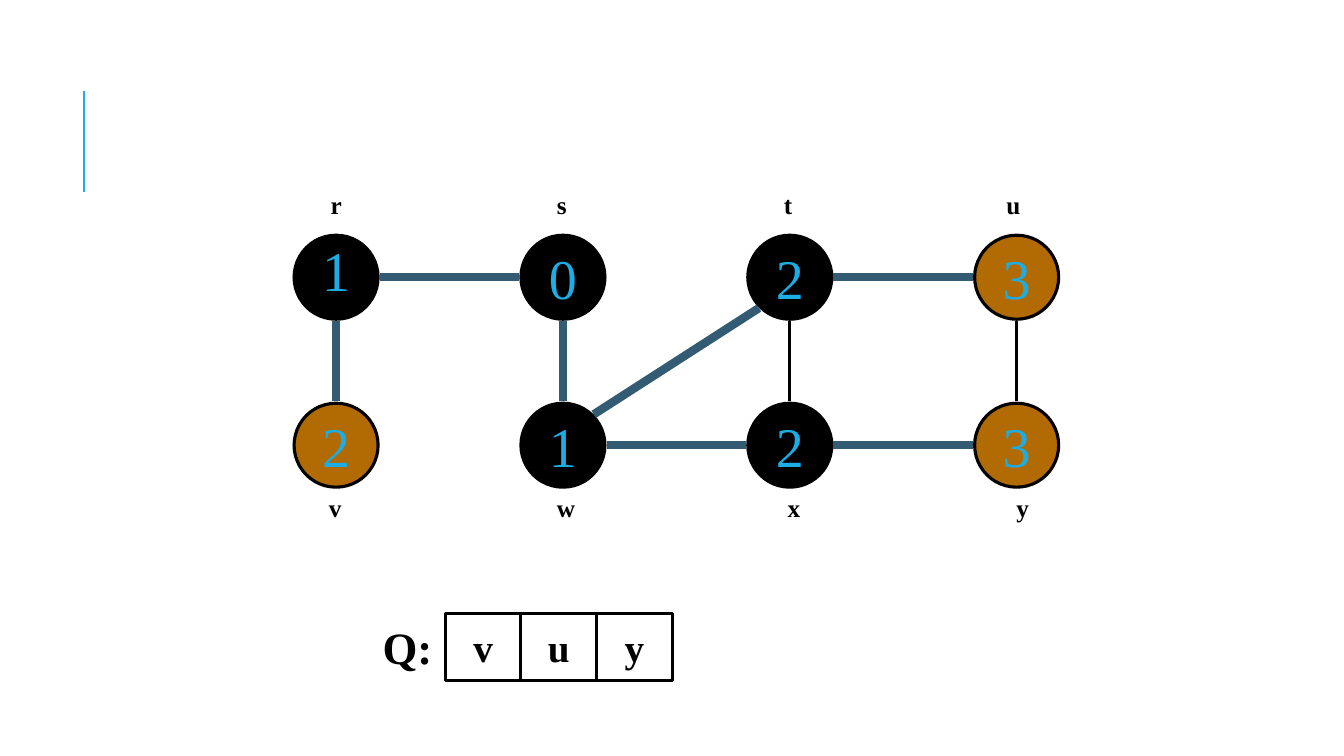
from collections import namedtuple
from math import hypot

from lxml.etree import SubElement
from pptx import Presentation
from pptx.dml.color import RGBColor
from pptx.enum.shapes import MSO_CONNECTOR, MSO_SHAPE
from pptx.enum.text import MSO_ANCHOR, MSO_AUTO_SIZE, PP_ALIGN
from pptx.oxml.ns import qn
from pptx.util import Inches, Pt

BLACK = RGBColor(0x00, 0x00, 0x00)
OCHRE = RGBColor(0xB2, 0x6B, 0x02)
CYAN = RGBColor(0x1C, 0xAD, 0xE4)
TREE_BLUE = RGBColor(0x33, 0x5B, 0x74)

# The grid has twelve units to the inch.
NODE_SIZE = 10
FIRST_CENTRE = (40, 33)
COLUMN_PITCH, ROW_PITCH = 27, 20
EDGE_REACH = 5.2
LABEL_TOPS = (22, 58)
LABEL_SIZE = (4, 4.8)
QUEUE_LEFT, QUEUE_TOP = 44, 73
CELL_SIZE = (9, 8)

DISTANCE = {"size": Pt(40), "bold": False}
LABEL = {"size": Pt(18), "bold": True}
QUEUE_NAME = {"size": Pt(32), "bold": True}
QUEUE_ITEM = {"size": Pt(28), "bold": True}

Node = namedtuple("Node", "column row distance fill label_nudge")
NODES = {
    "r": Node(0, 0, "1", BLACK, 0),
    "v": Node(0, 1, "2", OCHRE, -0.1),
    "s": Node(1, 0, "0", BLACK, -0.15),
    "w": Node(1, 1, "1", BLACK, 0.1),
    "t": Node(2, 0, "2", BLACK, -0.2),
    "x": Node(2, 1, "2", BLACK, 0.5),
    "u": Node(3, 0, "3", OCHRE, -0.4),
    "y": Node(3, 1, "3", OCHRE, 0.7),
}
TREE_EDGES = ("vr", "rs", "sw", "wt", "wx", "tu", "xy")
OTHER_EDGES = ("xt", "yu")
QUEUE = "vuy"


def grid(*units):
    return [Inches(unit / 12) for unit in units]


def write(shape, text, font_format, color, anchor=MSO_ANCHOR.MIDDLE):
    """Put one centred, unwrapped line of text in the shape."""
    frame = shape.text_frame
    frame.word_wrap = False
    frame.vertical_anchor = anchor
    paragraph = frame.paragraphs[0]
    paragraph.alignment = PP_ALIGN.CENTER
    run = paragraph.add_run()
    run.text = text
    run.font.name = "Times New Roman"
    run.font.color.rgb = color
    for name, value in font_format.items():
        setattr(run.font, name, value)
    return paragraph


def add_outlined(slide, kind, box, fill=None):
    shape = slide.shapes.add_shape(kind, *grid(*box))
    shape.shadow.inherit = False
    if fill is None:
        shape.fill.background()
    else:
        shape.fill.solid()
        shape.fill.fore_color.rgb = fill
    shape.line.color.rgb = BLACK
    shape.line.width = Pt(2.25)
    return shape


def add_line(slide, start, end, color, width):
    line = slide.shapes.add_connector(
        MSO_CONNECTOR.STRAIGHT, *grid(*start, *end))
    line.line.color.rgb = color
    line.line.width = Pt(width)
    SubElement(line._element.spPr, qn("a:effectLst"))


def centre(node):
    return (FIRST_CENTRE[0] + node.column * COLUMN_PITCH,
            FIRST_CENTRE[1] + node.row * ROW_PITCH)


def add_node(slide, node):
    x, y = centre(node)
    box = (x - NODE_SIZE / 2, y - NODE_SIZE / 2, NODE_SIZE, NODE_SIZE)
    circle = add_outlined(slide, MSO_SHAPE.OVAL, box, node.fill)
    return write(circle, node.distance, DISTANCE, CYAN)


def add_label(slide, name, node):
    width, height = LABEL_SIZE
    left = centre(node)[0] + node.label_nudge - width / 2
    label = slide.shapes.add_textbox(
        *grid(left, LABEL_TOPS[node.row], width, height))
    write(label, name, LABEL, BLACK, MSO_ANCHOR.TOP)
    label.text_frame.auto_size = MSO_AUTO_SIZE.SHAPE_TO_FIT_TEXT


def add_edge(slide, ends, color, width):
    """Join two nodes at their facing side or 45-degree points."""
    first, second = (NODES[name] for name in ends)
    across = second.column - first.column
    down = second.row - first.row
    reach = EDGE_REACH / hypot(across, down)
    (x1, y1), (x2, y2) = centre(first), centre(second)
    add_line(slide, (x1 + across * reach, y1 + down * reach),
             (x2 - across * reach, y2 - down * reach), color, width)


def add_queue(slide):
    name = slide.shapes.add_textbox(*grid(QUEUE_LEFT, QUEUE_TOP, *CELL_SIZE))
    write(name, "Q:", QUEUE_NAME, BLACK)
    for position, item in enumerate(QUEUE, start=1):
        left = QUEUE_LEFT + position * CELL_SIZE[0]
        cell = add_outlined(slide, MSO_SHAPE.RECTANGLE,
                            (left, QUEUE_TOP, *CELL_SIZE))
        write(cell, item, QUEUE_ITEM, BLACK)


def main():
    deck = Presentation()
    deck.slide_width, deck.slide_height = Inches(13.33), Inches(7.5)
    slide = deck.slides.add_slide(deck.slide_layouts[6])

    add_line(slide, (10, 22.8), (10, 10.8), CYAN, 1.5)
    distances = {name: add_node(slide, node) for name, node in NODES.items()}
    distances["r"].line_spacing = 0.7
    for name, node in NODES.items():
        add_label(slide, name, node)
    for ends in TREE_EDGES:
        add_edge(slide, ends, TREE_BLUE, 6)
    for ends in OTHER_EDGES:
        add_edge(slide, ends, BLACK, 2.25)
    add_queue(slide)

    deck.save("out.pptx")


if __name__ == "__main__":
    main()
